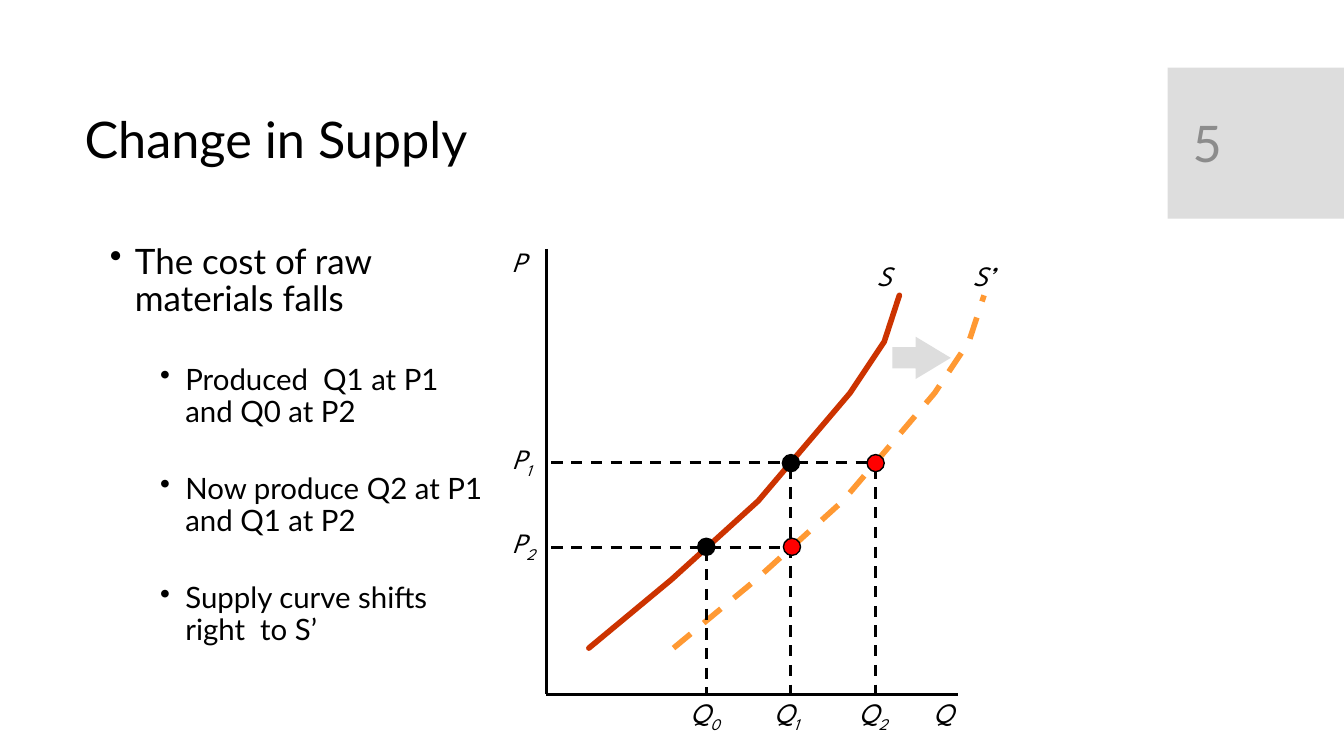
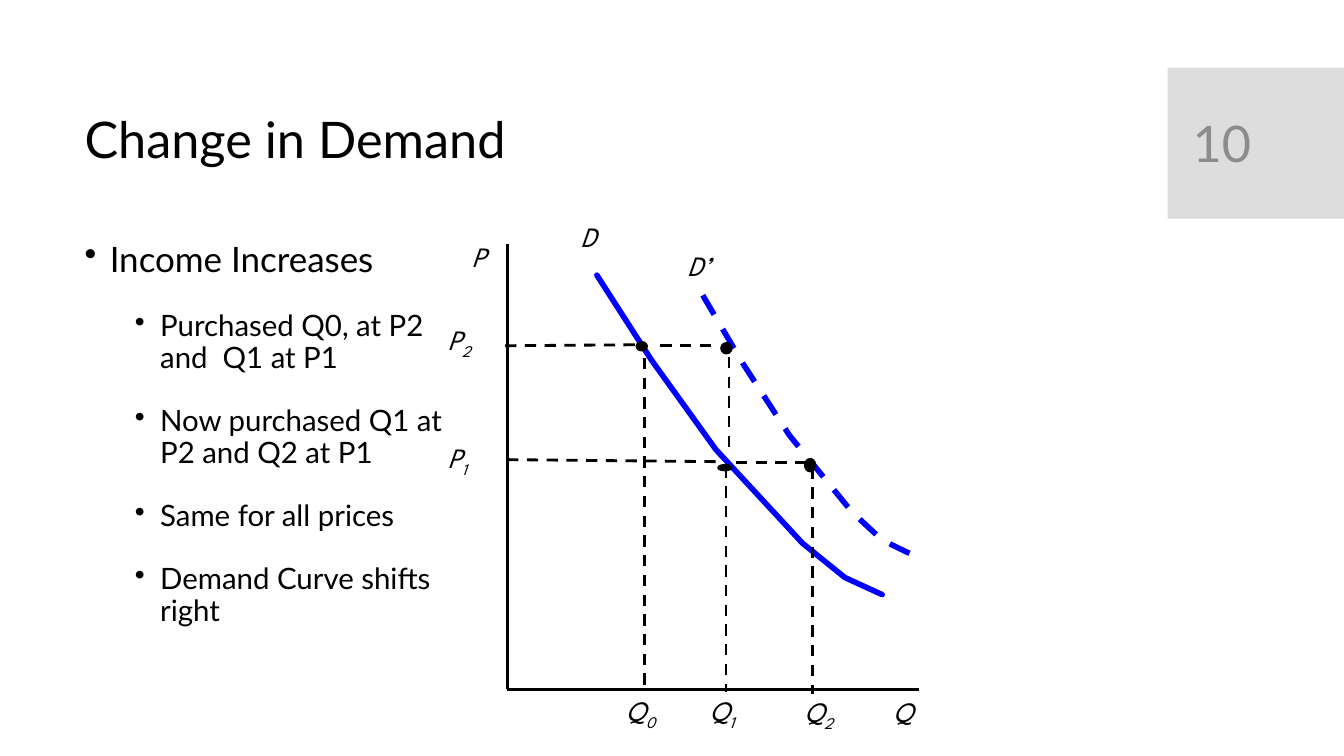
from lxml import etree
from pptx import Presentation
from pptx.dml.color import RGBColor
from pptx.enum.dml import MSO_LINE
from pptx.enum.shapes import MSO_CONNECTOR, MSO_SHAPE
from pptx.enum.text import MSO_ANCHOR
from pptx.oxml.ns import qn
from pptx.util import Inches, Pt

DASH = MSO_LINE.DASH
STRAIGHT = MSO_CONNECTOR.STRAIGHT
RECTANGLE, OVAL, RIGHT_ARROW = MSO_SHAPE.RECTANGLE, MSO_SHAPE.OVAL, MSO_SHAPE.RIGHT_ARROW
TOP, MIDDLE = MSO_ANCHOR.TOP, MSO_ANCHOR.MIDDLE
BODY_FONT, LABEL_FONT = "Lato", "League Spartan"
COLORS = {
    "text": "000000",
    "number": "8C8C8C",
    "band": "DDDDDD",
    "supply": "CC3300",
    "new supply": "FF9933",
    "demand": "0000FF",
    "new point": "FF0000",
}
LABEL_WIDTHS = {"P": 0.37, "Q": 0.44, "S": 0.34, "D": 0.41, "S’": 0.44, "D’": 0.51}
AXIS_HEIGHT, AXIS_WIDTH = 4.42, 4.08
SUPPLY_SHIFT = 0.84

supply_curve = [(5.84, 6.43), (6.66, 5.75), (7.52, 4.97), (8.43, 3.9), (8.77, 3.39), (8.92, 2.93)]
new_supply_curve = [(x + SUPPLY_SHIFT, y) for x, y in supply_curve]
demand_curve = [(5.92, 2.73), (6.46, 3.57), (7.1, 4.46), (7.96, 5.39), (8.38, 5.73), (8.75, 5.9)]
new_demand_curve = [(6.97, 2.93), (7.37, 3.61), (7.83, 4.32), (8.45, 5.08), (8.75, 5.36), (9.02, 5.49)]

SLIDES = [
    {
        "title": "Change in Supply",
        "number": "5",
        "body": (0.99, 2.37, 3.91, 4.5),
        "gap": 32.5,
        "heading": "The cost of raw materials falls",
        "bullets": [
            "Produced  Q1 at P1 and Q0 at P2",
            "Now produce Q2 at P1 and Q1 at P2",
            "Supply curve shifts right  to S’",
        ],
        "origin": (5.42, 6.89),
        "curves": [(supply_curve, "supply", None), (new_supply_curve, "new supply", DASH)],
        "guides": [
            (5.47, 4.59, 7.74, 4.59), (7.9, 4.59, 8.64, 4.59),
            (5.47, 5.43, 7.01, 5.43), (7.04, 5.43, 7.83, 5.43),
            (7.01, 5.45, 7.01, 6.89), (7.84, 4.64, 7.84, 6.89), (8.68, 4.64, 8.68, 6.89),
        ],
        "dots": [
            (7.76, 4.51, 0.17, 0.17, "text"), (6.92, 5.34, 0.17, 0.17, "text"),
            (8.6, 4.51, 0.17, 0.17, "new point"), (7.77, 5.34, 0.17, 0.17, "new point"),
        ],
        "arrows": [(8.85, 3.34, 0.58, 0.42)],
        "labels": [
            ("P", 4.98, 2.38), ("S", 8.6, 2.52), ("S’", 9.55, 2.52), ("Q", 9.16, 6.85),
            ("P_1", 4.98, 4.33), ("P_2", 4.98, 5.16),
            ("Q_0", 6.75, 6.85), ("Q_1", 7.58, 6.85), ("Q_2", 8.42, 6.85),
        ],
    },
    {
        "title": "Change in Demand",
        "number": "10",
        "body": (0.74, 2.35, 3.91, 4.5),
        "gap": 22.5,
        "heading": "Income Increases",
        "bullets": [
            "Purchased Q0, at P2 and  Q1 at P1",
            "Now purchased Q1 at P2 and Q2 at P1",
            "Same for all prices",
            "Demand Curve shifts right",
        ],
        "origin": (5.03, 6.84),
        "curves": [(demand_curve, "demand", None), (new_demand_curve, "demand", DASH)],
        "guides": [
            (5.01, 3.43, 6.39, 3.42), (6.55, 3.43, 7.13, 3.43),
            (5.03, 4.56, 7.12, 4.58), (7.3, 4.59, 8.04, 4.59),
            (6.39, 3.55, 6.39, 6.87), (7.23, 3.54, 7.23, 4.45),
            (7.2, 4.63, 7.2, 6.87), (8.06, 4.64, 8.06, 6.89),
        ],
        "dots": [
            (6.31, 3.39, 0.11, 0.09, "text"), (7.12, 4.61, 0.14, 0.06, "text"),
            (7.15, 3.4, 0.11, 0.11, "text"), (7.98, 4.55, 0.11, 0.13, "text"),
        ],
        "arrows": [],
        "labels": [
            ("P", 4.58, 2.33), ("D", 5.66, 2.13), ("D’", 6.72, 2.42), ("Q", 8.76, 6.84),
            ("P_2", 4.34, 3.15), ("P_1", 4.34, 4.32),
            ("Q_0", 6.11, 6.83), ("Q_1", 6.94, 6.83), ("Q_2", 7.88, 6.84),
        ],
    },
]


def add_frame(page, place, anchor=TOP, wrap=True):
    frame = page.shapes.add_textbox(*map(Inches, place)).text_frame
    frame.word_wrap = wrap
    frame.vertical_anchor = anchor
    return frame


def write(frame, text, size=36, font=BODY_FONT, color="text", italic=False,
          spacing=None, before=None, level=0, bullet_left=None):
    first = frame.paragraphs[0]
    para = frame.add_paragraph() if first.runs else first
    if bullet_left is not None:
        properties = para._p.get_or_add_pPr()
        properties.set("marL", str(Inches(bullet_left)))
        properties.set("indent", str(Inches(-0.25)))
        etree.SubElement(properties, qn("a:buChar")).set("char", "•")
    para.level = level
    para.line_spacing = spacing
    if before is not None:
        para.space_before = Pt(before)
    main, mark, subscript = text.partition("_")
    for part in filter(None, (main, subscript)):
        span = para.add_run()
        span.text = part
        span.font.size = Pt(size)
        span.font.name = font
        span.font.italic = italic
        span.font.color.rgb = RGBColor.from_string(COLORS[color])
    if mark:
        span._r.get_or_add_rPr().set("baseline", "-25000")


deck = Presentation()
deck.slide_width, deck.slide_height = Inches(13.33), Inches(7.5)

for content in SLIDES:
    page = deck.slides.add_slide(deck.slide_layouts[6])

    band = page.shapes.add_shape(RECTANGLE, *map(Inches, (11.58, 0.67, 1.75, 1.5)))
    band.shadow.inherit = False
    band.fill.solid()
    band.fill.fore_color.rgb = RGBColor.from_string(COLORS["band"])
    band.line.fill.background()
    write(add_frame(page, (0.74, 0.82, 10.51, 1.18), MIDDLE), content["title"], spacing=0.9)
    write(add_frame(page, (11.73, 0.82, 1.26, 1.19), MIDDLE), content["number"], color="number")

    body = add_frame(page, content["body"])
    write(body, content["heading"], size=25, spacing=0.9, bullet_left=0.25)
    for bullet in content["bullets"]:
        write(body, bullet, size=21, spacing=0.9, before=content["gap"], level=1, bullet_left=0.75)

    for points, color, dash in content["curves"]:
        corners = [(Inches(x), Inches(y)) for x, y in points]
        builder = page.shapes.build_freeform(*corners[0])
        builder.add_line_segments(corners[1:], close=False)
        curve = builder.convert_to_shape()
        curve.shadow.inherit = False
        curve.fill.background()
        curve.line.width = Pt(4)
        curve.line.color.rgb = RGBColor.from_string(COLORS[color])
        if dash:
            curve.line.dash_style = dash
        else:
            curve.line._get_or_add_ln().set("cap", "rnd")

    left, bottom = content["origin"]
    axes = [(left, bottom - AXIS_HEIGHT, left, bottom), (left, bottom, left + AXIS_WIDTH, bottom)]
    for ends, dash in [(axis, None) for axis in axes] + [(guide, DASH) for guide in content["guides"]]:
        line = page.shapes.add_connector(STRAIGHT, *map(Inches, ends))
        line.line.width = Pt(2)
        line.line.color.rgb = RGBColor.from_string(COLORS["text"])
        if dash:
            line.line.dash_style = dash
        etree.SubElement(line._element.spPr, qn("a:effectLst"))

    for *place, color in content["dots"]:
        dot = page.shapes.add_shape(OVAL, *map(Inches, place))
        dot.shadow.inherit = False
        dot.fill.solid()
        dot.fill.fore_color.rgb = RGBColor.from_string(COLORS[color])
        dot.line.width = Pt(1)
        dot.line.color.rgb = RGBColor.from_string(COLORS["text"])

    for place in content["arrows"]:
        arrow = page.shapes.add_shape(RIGHT_ARROW, *map(Inches, place))
        arrow.adjustments[1] = 0.83
        arrow.shadow.inherit = False
        arrow.fill.solid()
        arrow.fill.fore_color.rgb = RGBColor.from_string(COLORS["band"])
        arrow.line.fill.background()

    for text, x, y in content["labels"]:
        width = LABEL_WIDTHS[text.partition("_")[0]] + (0.11 if "_" in text else 0)
        label = add_frame(page, (x, y, width, 0.43), wrap=False)
        write(label, text, size=20, font=LABEL_FONT, italic=True)

deck.save("out.pptx")
